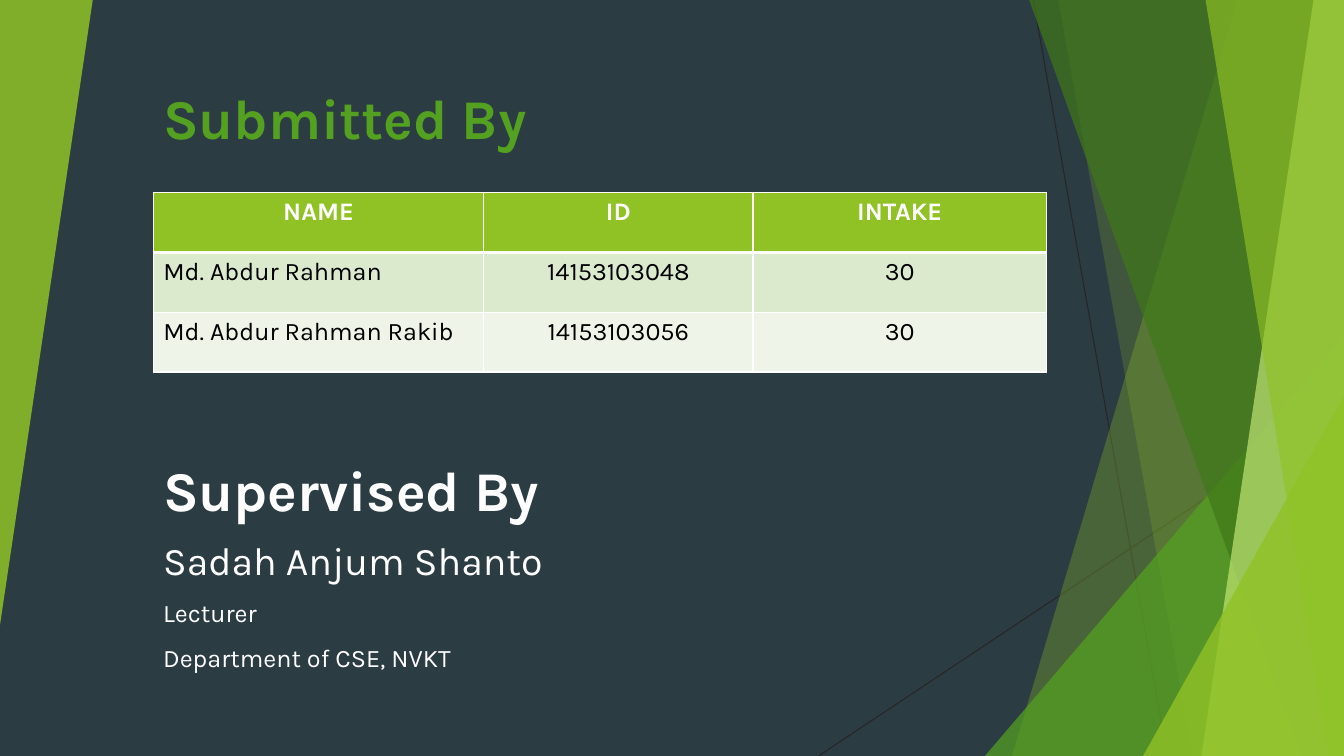
from lxml import etree
from pptx import Presentation
from pptx import util as u
from pptx.dml.color import RGBColor
from pptx.enum import shapes, text
from pptx.oxml import ns

WIDTH, HEIGHT = u.Inches(13.333), u.Inches(7.5)
FONT = "Karla"
SLATE = RGBColor(0x2C, 0x3C, 0x43)
CHARCOAL = RGBColor(0x26, 0x26, 0x26)
LIME = RGBColor(0x90, 0xC2, 0x26)
GREEN = RGBColor(0x54, 0xA0, 0x21)
FOREST = RGBColor(0x3F, 0x78, 0x19)
PALE_LIME = RGBColor(0xC0, 0xE4, 0x74)
BAND_DARK = RGBColor(0xDB, 0xE9, 0xCD)
BAND_LIGHT = RGBColor(0xEE, 0xF4, 0xE8)
WHITE = RGBColor(0xFF, 0xFF, 0xFF)
BLACK = RGBColor(0, 0, 0)

LEFT = 11.4
MEMBERS = [
    ("NAME", "ID", "INTAKE"),
    ("Md. Abdur Rahman", "14153103048", "30"),
    ("Md. Abdur Rahman Rakib", "14153103056", "30"),
]


def across(percent):
    return u.Emu(round(WIDTH * percent / 100))


def down(percent):
    return u.Emu(round(HEIGHT * percent / 100))


def box(left, top, width, height):
    return across(left), down(top), across(width), down(height)


def paint(sp, color, opacity):
    sp.shadow.inherit = False
    sp.line.fill.background()
    sp.fill.solid()
    sp.fill.fore_color.rgb = color
    clr = sp.fill._xPr.find(".//" + ns.qn("a:srgbClr"))
    etree.SubElement(clr, ns.qn("a:alpha"), val=str(opacity * 1000))


def add_ray(s, x1, y1, x2, y2):
    ray = s.shapes.add_connector(
        shapes.MSO_CONNECTOR.STRAIGHT,
        across(x1), down(y1), across(x2), down(y2))
    ray.line.color.rgb = CHARCOAL
    ray.line.width = u.Pt(0.75)
    etree.SubElement(ray._element.spPr, ns.qn("a:effectLst"))


def add_blade(s, top_x, bottom_x, color, opacity):
    builder = s.shapes.build_freeform(across(top_x), 0)
    builder.add_line_segments(
        [(WIDTH, 0), (WIDTH, HEIGHT), (across(bottom_x), HEIGHT)])
    paint(builder.convert_to_shape(), color, opacity)


def add_wedge(s, left, top, width, height, color, opacity, rotation=0):
    sp = s.shapes.add_shape(
        shapes.MSO_SHAPE.ISOSCELES_TRIANGLE, *box(left, top, width, height))
    sp.adjustments[0] = 1
    sp.rotation = rotation
    paint(sp, color, opacity)


def style(p, size, color, bold=False, align=text.PP_ALIGN.LEFT):
    p.alignment = align
    p.font.name = FONT
    p.font.size = u.Pt(size)
    p.font.color.rgb = color
    p.font.bold = bold


def add_text(s, bounds, lines, anchor, space_before=0):
    tf = s.shapes.add_textbox(*box(*bounds)).text_frame
    tf.word_wrap = True
    tf.vertical_anchor = anchor
    for i, (line, *look) in enumerate(lines):
        p = tf.paragraphs[0] if i == 0 else tf.add_paragraph()
        p.text = line
        p.space_before = u.Pt(space_before)
        style(p, *look)


def add_borders(cell, **widths):
    tc_pr = cell._tc.get_or_add_tcPr()
    for side in "LRTB":
        ln = etree.SubElement(tc_pr, ns.qn("a:ln" + side),
                              w=str(u.Pt(widths.get(side, 1))))
        fill = etree.SubElement(ln, ns.qn("a:solidFill"))
        etree.SubElement(fill, ns.qn("a:srgbClr"), val=str(WHITE))


def add_members(s, top, columns, row_height):
    frame = s.shapes.add_table(
        len(MEMBERS), len(columns),
        *box(LEFT, top, sum(columns), row_height * len(MEMBERS)))
    table = frame.table
    for column, width in zip(table.columns, columns):
        column.width = across(width)
    fills = (LIME, BAND_DARK, BAND_LIGHT)
    edges = ({"B": 3}, {"T": 3}, {})
    for i, values in enumerate(MEMBERS):
        table.rows[i].height = down(row_height)
        header = i == 0
        for j, value in enumerate(values):
            cell = table.cell(i, j)
            cell.text = value
            centred = header or j > 0
            align = text.PP_ALIGN.CENTER if centred else text.PP_ALIGN.LEFT
            style(cell.text_frame.paragraphs[0], 18,
                  WHITE if header else BLACK, header, align)
            add_borders(cell, **edges[i])
            cell.fill.solid()
            cell.fill.fore_color.rgb = fills[i]


def add_backdrop(s):
    s.background.fill.solid()
    s.background.fill.fore_color.rgb = SLATE
    add_ray(s, 76.88, 0, 86.85, 100)
    add_ray(s, 100, 53.73, 60.9, 100)
    add_blade(s, 92.1, 75.3, LIME, 30)
    add_blade(s, 78.75, 88.73, LIME, 20)
    add_wedge(s, 73.28, 44.4, 26.72, 55.6, GREEN, 72)
    add_blade(s, 76.58, 96.83, FOREST, 70)
    add_blade(s, 97.73, 89.4, PALE_LIME, 70)
    add_blade(s, 89.7, 98.85, LIME, 65)
    add_wedge(s, 85.05, 52.4, 14.95, 47.6, LIME, 80)
    add_wedge(s, 0, 0, 6.9, 82.67, LIME, 85, rotation=180)


def main():
    prs = Presentation()
    prs.slide_width, prs.slide_height = WIDTH, HEIGHT
    s = prs.slides.add_slide(prs.slide_layouts[6])
    add_backdrop(s)
    add_text(s, (LEFT, 9.2, 53.93, 11.33),
             [("Submitted By", 40, GREEN, True)], text.MSO_ANCHOR.BOTTOM)
    justify = text.PP_ALIGN.JUSTIFY
    add_text(s, (LEFT, 59.6, 66.53, 33.47), [
        ("Supervised By", 40, WHITE, True),
        ("Sadah Anjum Shanto", 28, WHITE, False, justify),
        ("Lecturer", 18, WHITE, False, justify),
        ("Department of CSE, NVKT", 18, WHITE, False, justify),
    ], text.MSO_ANCHOR.TOP, space_before=10)
    add_members(s, 25.47, (24.6, 20.03, 21.83), 7.92)
    prs.save("out.pptx")


main()
